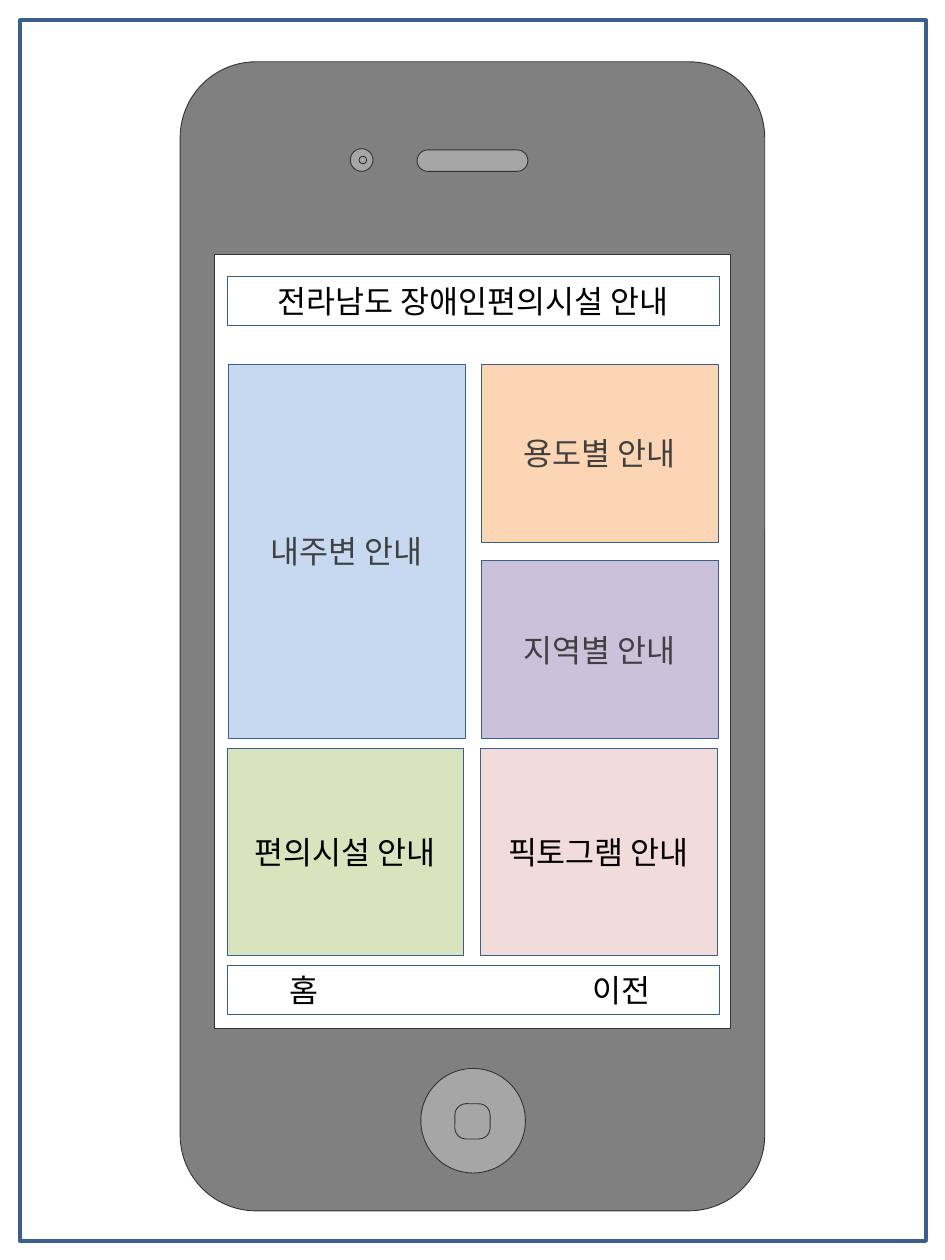
import pptx
import pptx.util
import pptx.dml.color
import pptx.enum.shapes
import pptx.enum.text
import lxml.etree
from pptx.util import Inches

FONT = "Noto Sans CJK KR"
COLORS = {
    "frame": "3A5F8C", "outline": "333333", "body": "808080", "button": "A6A6A6",
    "white": "FFFFFF", "black": "000000", "gray": "404040",
    "blue": "C6D9F1", "orange": "FCD5B5", "purple": "CCC1DA",
    "green": "D7E4BD", "pink": "F2DCDB",
}
RGB = {k: pptx.dml.color.RGBColor.from_string(v) for k, v in COLORS.items()}
A = "{http://schemas.openxmlformats.org/drawingml/2006/main}"
SHAPE = pptx.enum.shapes.MSO_SHAPE
ALIGN = pptx.enum.text.PP_ALIGN


def style(sp, fill, line, width):
    if fill:
        sp.fill.solid()
        sp.fill.fore_color.rgb = RGB[fill]
    else:
        sp.fill.background()
    sp.line.color.rgb = RGB[line]
    sp.line.width = pptx.util.Pt(width)


def write(sp, text, color, align=ALIGN.CENTER):
    """Put one vertically centred line of text in a shape and return its paragraph."""
    tf = sp.text_frame
    tf.word_wrap = True
    tf.auto_size = pptx.enum.text.MSO_AUTO_SIZE.NONE
    tf.vertical_anchor = pptx.enum.text.MSO_ANCHOR.MIDDLE
    p = tf.paragraphs[0]
    p.alignment = align
    r = p.add_run()
    r.text = text
    r.font.size = pptx.util.Pt(18)
    r.font.name = FONT
    r.font.color.rgb = RGB[color]
    ea = lxml.etree.SubElement(r.font._element, A + "ea")
    ea.set("typeface", FONT)
    return p


prs = pptx.Presentation()
prs.slide_width, prs.slide_height = Inches(7.5), Inches(10)
s = prs.slides.add_slide(prs.slide_layouts[5])

# Page frame
sp = s.shapes.add_shape(SHAPE.RECTANGLE, Inches(0.16), Inches(0.16), Inches(7.19), Inches(9.69))
sp.shadow.inherit = False
style(sp, None, "frame", 2)

# Phone: body, screen, speaker, camera, home button
phone = s.shapes.add_group_shape()
for kind, x, y, w, h, fill, adj in [
    (SHAPE.ROUNDED_RECTANGLE, 1.43, 0.49, 4.64, 9.12, "body", 0.13),
    (SHAPE.RECTANGLE, 1.7, 2.02, 4.1, 6.14, "white", None),
    (SHAPE.ROUNDED_RECTANGLE, 3.31, 1.19, 0.88, 0.17, "button", 0.5),
    (SHAPE.OVAL, 2.78, 1.18, 0.18, 0.18, "button", None),
    (SHAPE.OVAL, 2.85, 1.24, 0.06, 0.06, "button", None),
    (SHAPE.OVAL, 3.34, 8.48, 0.83, 0.83, "button", None),
    (SHAPE.ROUNDED_RECTANGLE, 3.61, 8.76, 0.28, 0.28, "button", 0.32),
]:
    sp = phone.shapes.add_shape(kind, Inches(x), Inches(y), Inches(w), Inches(h))
    sp.shadow.inherit = False
    if adj is not None:
        sp.adjustments[0] = adj
    style(sp, fill, "outline", 0.5)

# Title bar, brought in front of the phone
title = s.shapes.title
title.left, title.top, title.width, title.height = Inches(1.8), Inches(2.19), Inches(3.91), Inches(0.39)
style(title, None, "frame", 0.25)
write(title, "전라남도 장애인편의시설 안내", "black")
s.shapes.element.append(title.element)

# Menu tiles
for text, x, y, h, fill, color in [
    ("내주변 안내", 1.81, 2.89, 2.97, "blue", "gray"),
    ("용도별 안내", 3.82, 2.89, 1.41, "orange", "gray"),
    ("지역별 안내", 3.82, 4.45, 1.41, "purple", "gray"),
    ("편의시설 안내", 1.8, 5.94, 1.64, "green", "black"),
    ("픽토그램 안내", 3.81, 5.94, 1.64, "pink", "black"),
]:
    sp = s.shapes.add_shape(SHAPE.RECTANGLE, Inches(x), Inches(y), Inches(1.88), Inches(h))
    sp.shadow.inherit = False
    style(sp, fill, "frame", 0.25)
    write(sp, text, color)

# Navigation bar: two labels set apart by a tab stop
nav = s.shapes.add_shape(SHAPE.RECTANGLE, Inches(1.8), Inches(7.66), Inches(3.91), Inches(0.39))
nav.shadow.inherit = False
style(nav, None, "frame", 0.25)
p = write(nav, "홈\t이전", "black", ALIGN.LEFT)
nav.text_frame.margin_left = Inches(0.5)
tabs = lxml.etree.SubElement(p._p.get_or_add_pPr(), A + "tabLst")
lxml.etree.SubElement(tabs, A + "tab", pos=str(Inches(2.4)), algn="l")

prs.save("out.pptx")
